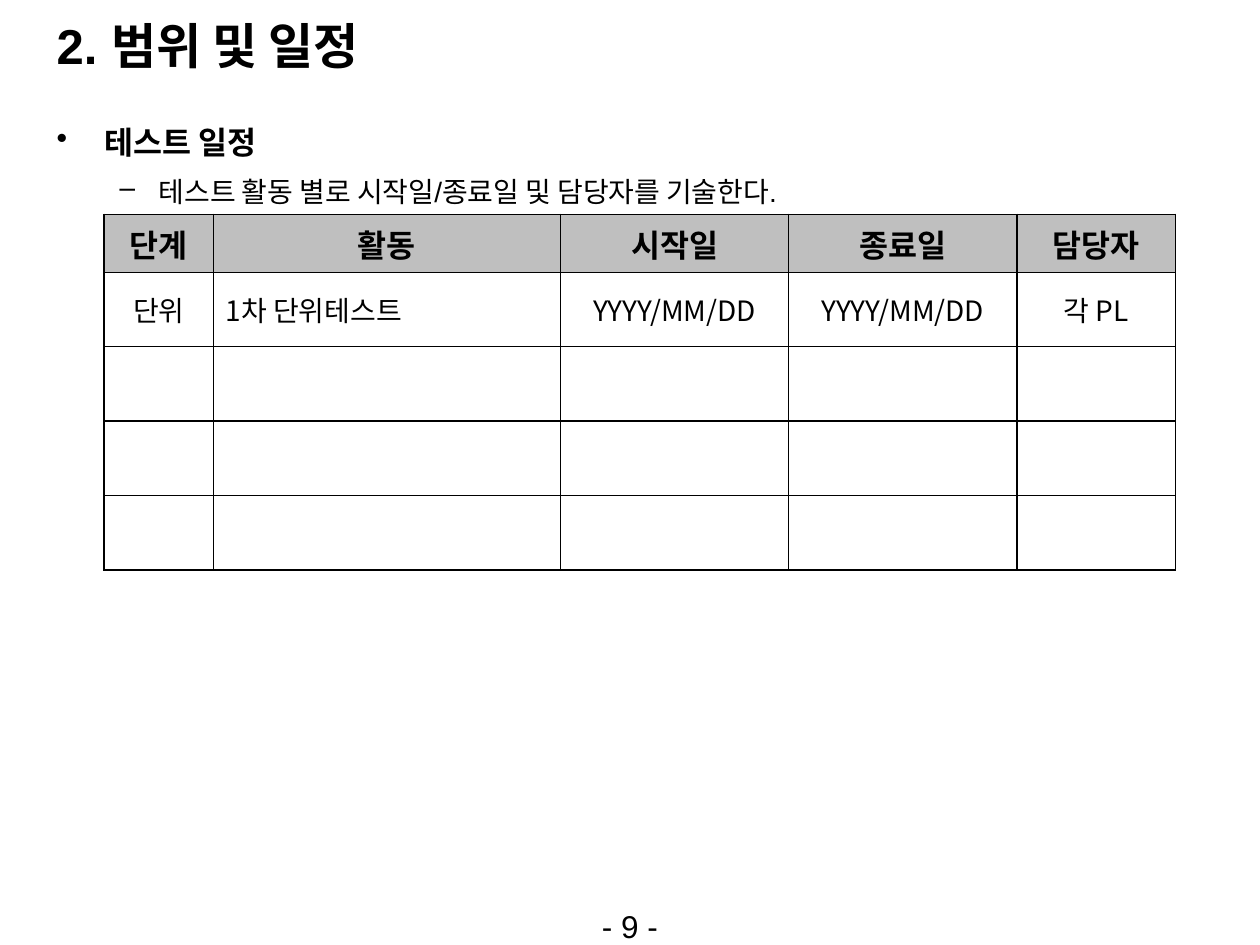
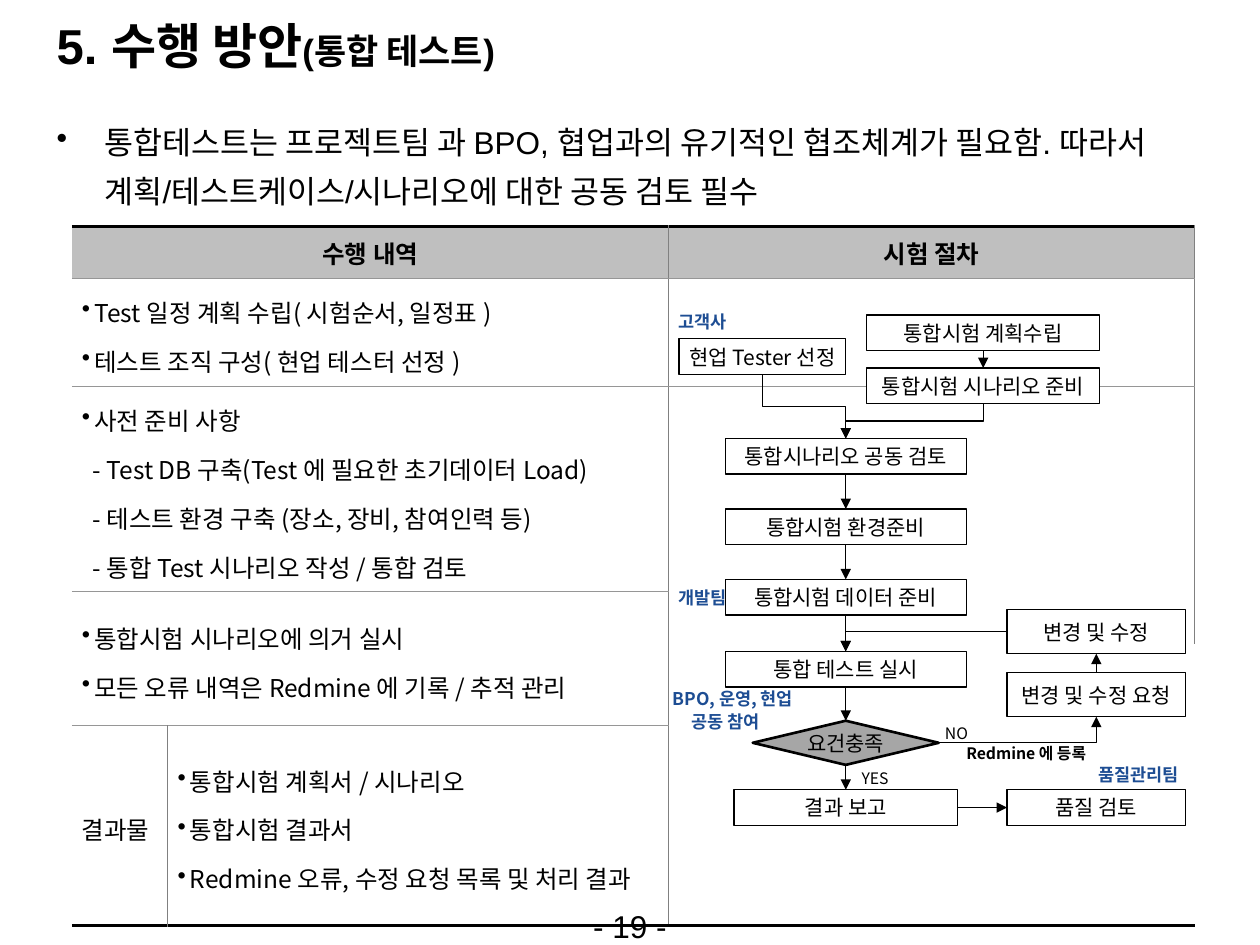
from dataclasses import dataclass
from itertools import pairwise

from lxml import etree
from pptx import Presentation
from pptx.dml.color import RGBColor
from pptx.enum.shapes import MSO_CONNECTOR, MSO_SHAPE
from pptx.enum.text import MSO_ANCHOR, MSO_AUTO_SIZE, PP_ALIGN
from pptx.oxml.ns import qn
from pptx.util import Cm, Pt

LEFT, CENTER = PP_ALIGN.LEFT, PP_ALIGN.CENTER
TOP, MIDDLE = MSO_ANCHOR.TOP, MSO_ANCHOR.MIDDLE
RECTANGLE, DECISION = MSO_SHAPE.RECTANGLE, MSO_SHAPE.FLOWCHART_DECISION
STRAIGHT, ELBOW = MSO_CONNECTOR.STRAIGHT, MSO_CONNECTOR.ELBOW
TITLE_ONLY = 5
PLAIN_TABLE_STYLE = "{2D5ABB26-0587-4C30-8999-92F81FD0307C}"


@dataclass(frozen=True)
class Theme:
    latin: str = "Arial"
    korean: str = "Noto Sans CJK KR"
    black: str = "000000"
    white: str = "FFFFFF"
    header: str = "BFBFBF"
    decision: str = "A6A6A6"
    rule: str = "969696"
    divider: str = "808080"
    team: str = "1D4D93"
    title: int = 28
    subtitle: int = 20
    body: int = 18
    detail: int = 16
    cell: int = 14
    step: int = 12
    owner: int = 10
    note: int = 9


THEME = Theme()


@dataclass(frozen=True)
class Style:
    """Type and paragraph settings; margin and hanging are in centimetres."""
    size: int
    bold: bool = False
    font: str = THEME.korean
    color: str = THEME.black
    align: int = LEFT
    bullet: str = ""
    margin: float = 0
    hanging: float = 0
    spacing: float = 1.0
    before: float = 0


TITLE = Style(THEME.title, True, THEME.latin)
SUBTITLE = Style(THEME.subtitle, True, THEME.latin)
BODY = Style(THEME.body, False, THEME.latin, bullet="•", margin=0.97, hanging=0.97,
             spacing=1.3, before=2)
BODY_HEAD = Style(THEME.body, True, THEME.latin, bullet="•", margin=0.97, hanging=0.97,
                  spacing=1.3, before=2)
BODY_DETAIL = Style(THEME.detail, False, THEME.latin, bullet="–", margin=2.06, hanging=0.79,
                    spacing=1.3, before=2)
PAGE = Style(THEME.body, False, THEME.latin, align=CENTER)
SCHEDULE_HEAD = Style(THEME.body, True, align=CENTER)
SCHEDULE_CENTER = Style(THEME.detail, align=CENTER)
SCHEDULE_LEFT = Style(THEME.detail)
WORK_HEAD = Style(THEME.cell, True, align=CENTER)
WORK_ITEM = Style(THEME.cell, bullet="•", margin=0.25, hanging=0.25, spacing=1.2, before=3.5)
WORK_DASH = Style(THEME.cell, margin=0.22, spacing=1.2, before=3.5)
WORK_PLAIN = Style(THEME.cell, spacing=1.2)
STEP = Style(THEME.step, align=CENTER)
OWNER = Style(THEME.owner, True, color=THEME.team, spacing=1.1)
OWNER_INDENTED = Style(THEME.owner, True, color=THEME.team, margin=0.38, spacing=1.1)
ANSWER = Style(THEME.note)
NOTE = Style(THEME.note, True)


def top(shape):
    return shape.left + shape.width // 2, shape.top


def bottom(shape):
    return shape.left + shape.width // 2, shape.top + shape.height


def left(shape):
    return shape.left, shape.top + shape.height // 2


def right(shape):
    return shape.left + shape.width, shape.top + shape.height // 2


class Deck:
    def __init__(self):
        self.presentation = Presentation()
        self.presentation.slide_width = Cm(25.4)
        self.presentation.slide_height = Cm(19.05)
        self.slide = None

    def start_slide(self, title_runs, page):
        layout = self.presentation.slide_layouts[TITLE_ONLY]
        self.slide = self.presentation.slides.add_slide(layout)
        title = self.slide.shapes.title
        title.left, title.top, title.width, title.height = Cm(0.89), Cm(0.13), Cm(23.6), Cm(1.57)
        title.text_frame.auto_size = MSO_AUTO_SIZE.NONE
        title.text_frame.vertical_anchor = MIDDLE
        paragraph = title.text_frame.paragraphs[0]
        paragraph.alignment = LEFT
        for text, style in title_runs:
            self.run(paragraph, text, style)
        self.text([(f"- {page} -", PAGE)], 11, 18.16, 3.4, 0.89)

    def run(self, paragraph, text, style):
        run = paragraph.add_run()
        run.text = text
        run.font.size = Pt(style.size)
        run.font.bold = style.bold
        run.font.color.rgb = RGBColor.from_string(style.color)
        run.font.name = style.font
        properties = run.font._element
        etree.SubElement(properties, qn("a:ea")).set("typeface", THEME.korean)

    def fill_text(self, frame, lines):
        """Write (text, style) pairs, one paragraph each."""
        for index, (text, style) in enumerate(lines):
            paragraph = frame.add_paragraph() if index else frame.paragraphs[0]
            paragraph.alignment = style.align
            paragraph.line_spacing = style.spacing
            paragraph.space_before = Pt(style.before if index else 0)
            properties = paragraph._p.get_or_add_pPr()
            properties.set("marL", str(Cm(style.margin)))
            properties.set("indent", str(-Cm(style.hanging)))
            if style.bullet:
                etree.SubElement(properties, qn("a:buChar")).set("char", style.bullet)
            self.run(paragraph, text, style)

    def set_margins(self, holder, horizontal, vertical):
        holder.margin_left = holder.margin_right = Cm(horizontal)
        holder.margin_top = holder.margin_bottom = Cm(vertical)

    def text(self, lines, x, y, width, height):
        box = self.slide.shapes.add_textbox(Cm(x), Cm(y), Cm(width), Cm(height))
        box.text_frame.word_wrap = True
        self.fill_text(box.text_frame, lines)
        return box

    def body(self, lines):
        self.text(lines, 0.89, 2.13, 23.6, 14.88)

    def label(self, lines, x, y, width=3):
        frame = self.text(lines, x, y, width, 0.7).text_frame
        self.set_margins(frame, 0, 0)
        frame.vertical_anchor = MIDDLE

    def step(self, text, center, y, width, height=0.72, kind=RECTANGLE,
             fill=THEME.white, line=0.75):
        shape = self.slide.shapes.add_shape(kind, Cm(center - width / 2), Cm(y),
                                            Cm(width), Cm(height))
        shape.shadow.inherit = False
        shape.fill.solid()
        shape.fill.fore_color.rgb = RGBColor.from_string(fill)
        shape.line.color.rgb = RGBColor.from_string(THEME.black)
        shape.line.width = Pt(line)
        frame = shape.text_frame
        frame.word_wrap = False
        frame.vertical_anchor = MIDDLE
        self.set_margins(frame, 0, 0)
        self.fill_text(frame, [(text, STEP)])
        return shape

    def arrow(self, start, end, kind=STRAIGHT):
        connector = self.slide.shapes.add_connector(kind, *start, *end)
        connector.line.color.rgb = RGBColor.from_string(THEME.black)
        connector.line.width = Pt(0.75)
        connector.line._get_or_add_ln().append(
            connector._element.makeelement(qn("a:tailEnd"), {"type": "triangle"}))
        etree.SubElement(connector._element.spPr, qn("a:effectLst"))
        return connector

    def corner_arrow(self, start, end):
        """Go sideways first, then turn once."""
        connector = self.arrow(start, end, ELBOW)
        connector._element.spPr.find(qn("a:prstGeom")).set("prst", "bentConnector2")

    def drop_arrow(self, start, end):
        """Go down, across and down again: an elbow turned by a quarter."""
        (x1, y1), (x2, y2) = start, end
        middle_x, middle_y = (x1 + x2) // 2, (y1 + y2) // 2
        half_drop = (y2 - y1) // 2 * (1 if x2 > x1 else -1)
        half_run = abs(x2 - x1) // 2
        connector = self.arrow((middle_x + half_drop, middle_y - half_run),
                               (middle_x - half_drop, middle_y + half_run), ELBOW)
        quarter_turns = 3 if x2 > x1 else 1
        connector._element.spPr.find(qn("a:xfrm")).set("rot", str(quarter_turns * 5400000))

    def table(self, x, y, columns, rows):
        frame = self.slide.shapes.add_table(len(rows), len(columns), Cm(x), Cm(y),
                                            Cm(sum(columns)), Cm(sum(rows)))
        table = frame.table
        table.first_row = table.horz_banding = False
        table._tbl.tblPr.find(qn("a:tableStyleId")).text = PLAIN_TABLE_STYLE
        for column, width in zip(table.columns, columns):
            column.width = Cm(width)
        for row, height in zip(table.rows, rows):
            row.height = Cm(height)
        return table

    def cell(self, cell, lines, borders, fill=None):
        """Borders map L, R, T or B, in that order, to (colour, points)."""
        cell.vertical_anchor = MIDDLE
        properties = cell._tc.get_or_add_tcPr()
        for side, (color, width) in borders.items():
            line = etree.SubElement(properties, qn(f"a:ln{side}"), w=str(Pt(width)))
            solid = etree.SubElement(line, qn("a:solidFill"))
            etree.SubElement(solid, qn("a:srgbClr"), val=color)
        if fill:
            cell.fill.solid()
            cell.fill.fore_color.rgb = RGBColor.from_string(fill)
        else:
            cell.fill.background()
        if lines:
            self.fill_text(cell.text_frame, lines)
        else:
            cell.text_frame.paragraphs[0].font.size = Pt(THEME.cell)


def schedule_slide(deck):
    deck.start_slide([("2. 범위 및 일정", TITLE)], 9)
    deck.body([("테스트 일정", BODY_HEAD),
               ("테스트 활동 별로 시작일/종료일 및 담당자를 기술한다.", BODY_DETAIL)])
    rows = [["단계", "활동", "시작일", "종료일", "담당자"],
            ["단위", "1차 단위테스트", "YYYY/MM/DD", "YYYY/MM/DD", "각 PL"]]
    rows += [[""] * 5] * 3
    table = deck.table(2.1, 4.32, [2.2, 7, 4.6, 4.6, 3.2], [1.17] + [1.5] * 4)
    borders = dict.fromkeys("LRTB", (THEME.black, 1))
    for r, row in enumerate(rows):
        for c, text in enumerate(row):
            style = SCHEDULE_HEAD if r == 0 else SCHEDULE_LEFT if c == 1 else SCHEDULE_CENTER
            deck.cell(table.cell(r, c), [(text, style)] if text else [], borders,
                      THEME.header if r == 0 else None)


def work_borders(row, column):
    borders = {}
    if column == 2 or (column == 1 and row == 5):
        borders["L"] = (THEME.divider, 1)
    if row == 0:
        borders["T"] = (THEME.black, 2.25)
    elif row == 1 or (column < 2 and row != 4):
        borders["T"] = (THEME.rule, 0.75)
    if row == 5:
        borders["B"] = (THEME.black, 2.25)
    return borders


def work_table(deck):
    contents = {
        (0, 0): [("수행 내역", WORK_HEAD)],
        (0, 2): [("시험 절차", WORK_HEAD)],
        (1, 0): [("Test 일정 계획 수립( 시험순서, 일정표 )", WORK_ITEM),
                 ("테스트 조직 구성( 현업 테스터 선정 )", WORK_ITEM)],
        (2, 0): [("사전 준비 사항", WORK_ITEM),
                 ("- Test DB 구축(Test 에 필요한 초기데이터 Load)", WORK_DASH),
                 ("- 테스트 환경 구축 (장소, 장비, 참여인력 등)", WORK_DASH),
                 ("- 통합 Test 시나리오 작성 / 통합 검토", WORK_DASH)],
        (3, 0): [("통합시험 시나리오에 의거 실시", WORK_ITEM),
                 ("모든 오류 내역은 Redmine 에 기록 / 추적 관리", WORK_ITEM)],
        (5, 0): [("결과물", WORK_PLAIN)],
        (5, 1): [("통합시험 계획서 / 시나리오", WORK_ITEM),
                 ("통합시험 결과서", WORK_ITEM),
                 ("Redmine 오류, 수정 요청 목록 및 처리 결과", WORK_ITEM)],
    }
    table = deck.table(1.45, 4.57, [1.93, 10.1, 10.6], [1.05, 2.18, 4.13, 1.05, 1.65, 4.03])
    for first, last in [(0, 0), (1, 1), (2, 2), (3, 4)]:
        table.cell(first, 0).merge(table.cell(last, 1))
    for r in range(6):
        for c in range(3):
            cell = table.cell(r, c)
            deck.set_margins(cell, 0.2, 0.15)
            deck.cell(cell, contents.get((r, c)), work_borders(r, c),
                      THEME.header if r == 0 else None)


def test_procedure(deck):
    main_x, plan_x, change_x = 17.05, 19.82, 22.1
    plan = deck.step("통합시험 계획수립", plan_x, 6.35, 4.7)
    scenario = deck.step("통합시험 시나리오 준비", plan_x, 7.42, 4.7)
    tester = deck.step("현업 Tester 선정", 15.37, 6.83, 3.36)
    main_steps = [deck.step(text, main_x, y, 4.86) for text, y in [
        ("통합시나리오 공동 검토", 8.84), ("통합시험 환경준비", 10.26),
        ("통합시험 데이터 준비", 11.68), ("통합 테스트 실시", 13.13)]]
    review, run_test = main_steps[0], main_steps[-1]
    decision = deck.step("요건충족", main_x, 14.53, 3.75, 0.89, DECISION, THEME.decision, 1.5)
    report = deck.step("결과 보고", main_x, 15.92, 4.5)
    change = deck.step("변경 및 수정", change_x, 12.29, 3.6, 0.89)
    request = deck.step("변경 및 수정 요청", change_x, 13.56, 3.6, 0.89)
    quality = deck.step("품질 검토", change_x, 15.92, 3.6)

    for upper, lower in [(plan, scenario), *pairwise([*main_steps, decision, report])]:
        deck.arrow(bottom(upper), top(lower))
    deck.drop_arrow(bottom(tester), top(review))
    deck.drop_arrow(bottom(scenario), top(review))
    deck.corner_arrow(right(decision), bottom(request))
    deck.arrow(top(request), bottom(change))
    deck.corner_arrow(left(change), top(run_test))
    deck.arrow(right(report), left(quality))

    deck.label([("고객사", OWNER)], 13.67, 6.12)
    deck.label([("개발팀", OWNER)], 13.67, 11.68)
    deck.label([("BPO, 운영, 현업", OWNER), ("공동 참여", OWNER_INDENTED)], 13.56, 13.94)
    deck.label([("품질관리팀", OWNER)], 22.15, 15.24, 2.2)
    deck.label([("YES", ANSWER)], 17.37, 15.34, 1.2)
    deck.label([("NO", ANSWER)], 19.05, 14.43, 0.9)
    deck.label([("Redmine 에 등록", NOTE)], 19.48, 14.84)


def integration_slide(deck):
    deck.start_slide([("5. 수행 방안", TITLE), ("(통합 테스트)", SUBTITLE)], 19)
    deck.body([("통합테스트는 프로젝트팀 과 BPO, 협업과의 유기적인 협조체계가 필요함. "
                "따라서 계획/테스트케이스/시나리오에 대한 공동 검토 필수", BODY)])
    work_table(deck)
    test_procedure(deck)


def main():
    deck = Deck()
    schedule_slide(deck)
    integration_slide(deck)
    deck.presentation.save("out.pptx")


if __name__ == "__main__":
    main()
